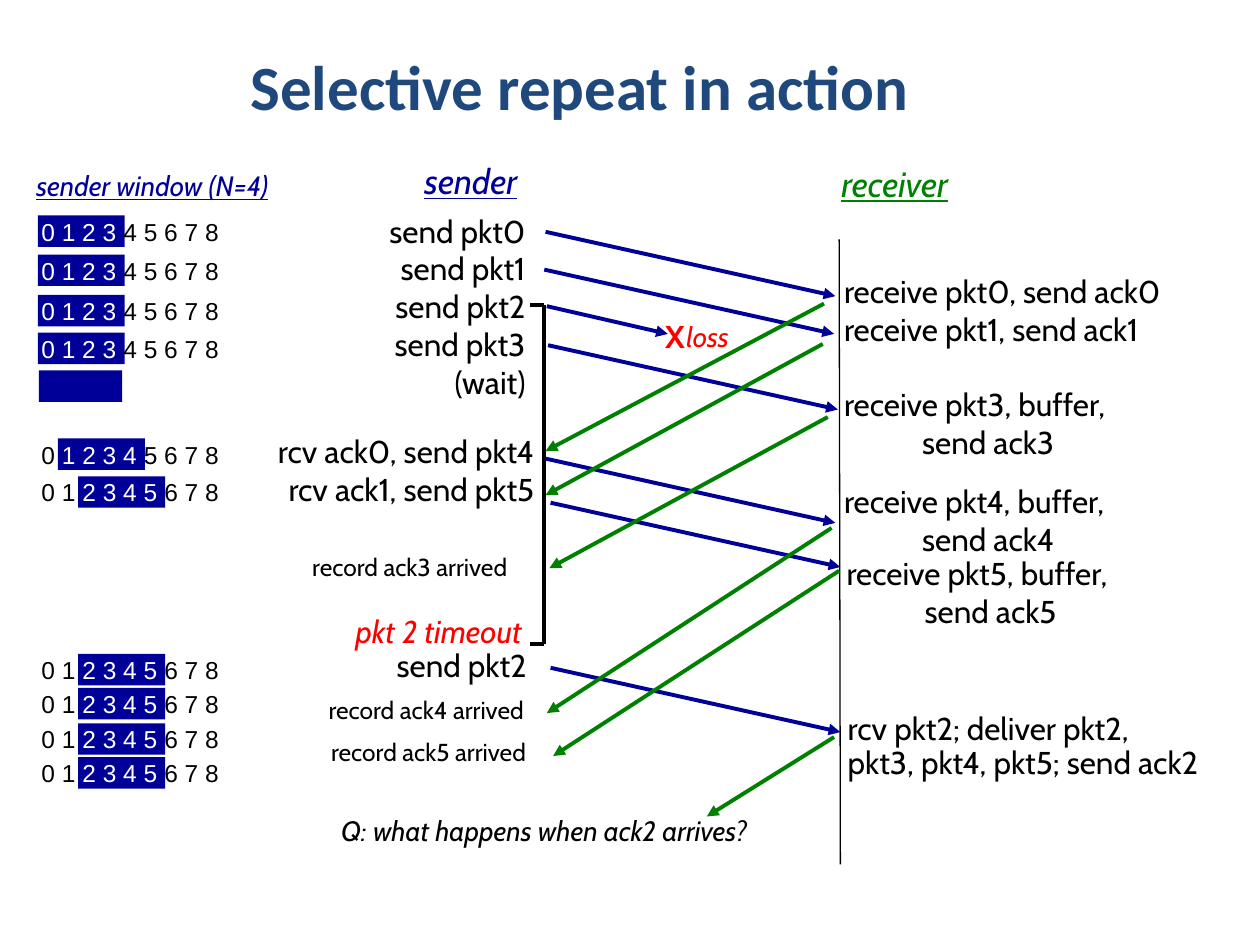
from pptx import Presentation
from pptx import util as u
from pptx.dml.color import RGBColor
from pptx.enum import shapes, text
from pptx.oxml.ns import qn
from lxml import etree

BLACK = RGBColor(0x00, 0x00, 0x00)
WHITE = RGBColor(0xFF, 0xFF, 0xFF)
TITLE = RGBColor(0x1F, 0x49, 0x7D)
BLUE = RGBColor(0x00, 0x00, 0x99)
GREEN = RGBColor(0x00, 0x80, 0x00)
RED = RGBColor(0xFF, 0x00, 0x00)
LEFT, MID, RIGHT = text.PP_ALIGN.LEFT, text.PP_ALIGN.CENTER, text.PP_ALIGN.RIGHT

deck = Presentation()
deck.slide_width, deck.slide_height = u.Inches(10), u.Inches(7.5)
slide = deck.slides.add_slide(deck.slide_layouts[6])


def write(rows, spot, size=18, color=BLACK, side=LEFT, lead=1.0, font="Cabin", **style):
    frame = slide.shapes.add_textbox(*map(u.Inches, spot)).text_frame
    frame.word_wrap = False
    frame.auto_size = text.MSO_AUTO_SIZE.SHAPE_TO_FIT_TEXT
    look = {"size": u.Pt(size), "name": font, **style}
    for i, row in enumerate(rows):
        para = frame.paragraphs[0] if i == 0 else frame.add_paragraph()
        para.alignment, para.line_spacing = side, lead
        for part in row if isinstance(row, tuple) else (row,):
            run = para.add_run()
            run.text = part
            for key, value in look.items():
                setattr(run.font, key, value)
            run.font.color.rgb = color
    return frame


def draw(start, end, color, width=2.25, arrow=True):
    line = slide.shapes.add_connector(
        shapes.MSO_CONNECTOR.STRAIGHT, *map(u.Inches, (*start, *end)))
    line.line.color.rgb = color
    line.line.width = u.Pt(width)
    if arrow:
        etree.SubElement(line.line._get_or_add_ln(), qn("a:tailEnd"), type="triangle")
    etree.SubElement(line._element.spPr, qn("a:effectLst"))


head = write(["Selective repeat in action"], (0.35, 0.22, 8.5, 0.92), 36, TITLE, MID,
             font="Calibri", bold=True)
head.auto_size = text.MSO_AUTO_SIZE.NONE
head.word_wrap = True
head.vertical_anchor = text.MSO_ANCHOR.MIDDLE

for label, spot, size, color in [
    ("sender window (N=4)", (0.19, 1.29, 2.35, 0.37), 16, BLUE),
    ("sender", (3.27, 1.22, 1.02, 0.43), 20, BLUE),
    ("receiver", (6.58, 1.24, 1.17, 0.43), 20, GREEN),
]:
    write([label], spot, size, color, italic=True, underline=True)

bars = [(0.31, 2.94, 0.66)]
for top, first in [(1.67, 0), (1.98, 0), (2.3, 0), (2.6, 0), (3.44, 1),
                   (3.74, 2), (5.15, 2), (5.42, 2), (5.7, 2), (5.97, 2)]:
    bars.append((0.3 + 0.16 * first, top + 0.04, 0.69))
for left, top, wide in bars:
    bar = slide.shapes.add_shape(shapes.MSO_SHAPE.RECTANGLE,
                                 *map(u.Inches, (left, top, wide, 0.25)))
    bar.shadow.inherit = False
    bar.fill.solid()
    bar.fill.fore_color.rgb = BLUE
    bar.line.fill.background()

digits = "0 1 2 3 4 5 6 7 8"
for left, top, wide in bars[1:]:
    first = round((left - 0.3) / 0.16) * 2
    parts = (digits[:first], digits[first:first + 8], digits[first + 8:])
    frame = write([parts], (0.23, top - 0.04, 1.65, 0.33), 14, font="Arial")
    frame.paragraphs[0].runs[1].font.color.rgb = WHITE

write(["send pkt0", "send pkt1", "send pkt2", "send pkt3", "(wait)"],
      (2.91, 1.63, 1.36, 1.6), side=RIGHT)
write(["rcv ack0, send pkt4", "rcv ack1, send pkt5"], (1.98, 3.38, 2.36, 0.7), side=RIGHT)
write(["pkt 2 timeout"], (2.56, 4.88, 1.68, 0.33), color=RED, side=RIGHT, lead=0.75, italic=True)
write(["send pkt2"], (2.92, 5.11, 1.36, 0.37), side=RIGHT, lead=0.9)
for ack, left, top in [(3, 2.38, 4.33), (4, 2.51, 5.47), (5, 2.53, 5.8)]:
    write([f"record ack{ack} arrived"], (left, top, 1.86, 0.33), 14)

got = write(["receive pkt0, send ack0", "receive pkt1, send ack1",
             "receive pkt3, buffer,", "send ack3"], (6.6, 2.11, 2.81, 1.6))
got.paragraphs[2].space_before = u.Pt(21.6)
held = [got]
for pkt, left, top in [(4, 6.6, 3.78), (5, 6.62, 4.35)]:
    held.append(write([f"receive pkt{pkt}, buffer,", f"send ack{pkt}"], (left, top, 2.52, 0.7)))
for frame in held:
    frame.paragraphs[-1]._p.get_or_add_pPr().set("marL", str(u.Inches(0.62)))
write(["rcv pkt2; deliver pkt2,", "pkt3, pkt4, pkt5; send ack2"],
      (6.63, 5.61, 3.24, 0.64), lead=0.9)

write(["X"], (5.18, 2.47, 0.37, 0.4), color=RED, bold=True)
write(["loss"], (5.35, 2.49, 0.57, 0.37), 16, RED, italic=True)
write(["Q: what happens when ack2 arrives?"], (2.61, 6.41, 3.83, 0.37), 16, italic=True)

draw((6.66, 1.9), (6.67, 6.86), BLACK, 0.75, False)
draw((4.32, 2.42), (4.32, 5.11), BLACK, arrow=False)
for top in (2.42, 5.11):
    draw((4.32, top), (4.21, top), BLACK, arrow=False)

for left, top in [(4.33, 1.84), (4.32, 2.14), (4.35, 2.74),
                  (4.33, 3.64), (4.37, 3.99), (4.37, 5.3)]:
    draw((left, top), (left + 2.3, top + 0.51), BLUE)
draw((4.34, 2.43), (5.3, 2.65), BLUE)

for start, end in [
    ((6.54, 2.41), (4.33, 3.58)),
    ((6.53, 2.73), (4.33, 3.93)),
    ((6.57, 3.31), (4.36, 4.51)),
    ((6.6, 4.19), (4.34, 5.66)),
    ((6.66, 4.53), (4.39, 6)),
    ((6.62, 5.85), (5.61, 6.48)),
]:
    draw(start, end, GREEN)

deck.save("out.pptx")
